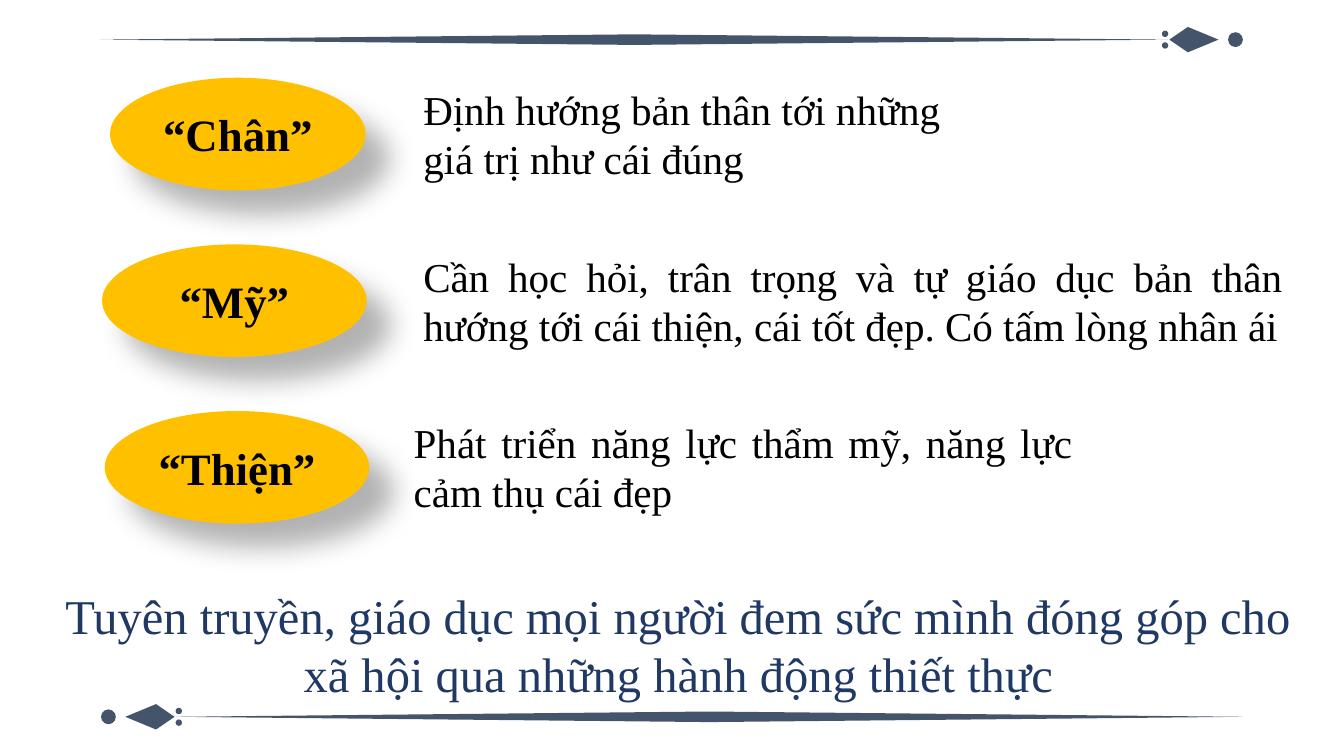
"""Build a slide of three values with explanations and a closing message."""
from lxml import etree
from pptx import Presentation
from pptx.dml.color import RGBColor
from pptx.enum.shapes import MSO_SHAPE
from pptx.enum.text import MSO_ANCHOR, PP_ALIGN
from pptx.oxml.ns import qn
from pptx.util import Cm, Pt

OVAL, DIAMOND = MSO_SHAPE.OVAL, MSO_SHAPE.DIAMOND
LEFT, CENTER, JUSTIFY = PP_ALIGN.LEFT, PP_ALIGN.CENTER, PP_ALIGN.JUSTIFY
TOP, MIDDLE = MSO_ANCHOR.TOP, MSO_ANCHOR.MIDDLE
FONT = "Times New Roman"
COLORS = {"ornament": "44546A", "oval": "FFC000", "text": "000000", "message": "203864"}
WIDTH, HEIGHT = 25.4, 14.29

VALUES = [
    {"name": "“Chân”", "oval": (2.08, 4.83), "box": (7.75, 11.4), "align": LEFT,
     "text": "Định hướng bản thân tới những giá trị như cái đúng"},
    {"name": "“Mỹ”", "oval": (1.93, 5), "box": (7.75, 16.74), "align": JUSTIFY,
     "text": "Cần học hỏi, trân trọng và tự giáo dục bản thân hướng tới cái thiện, "
             "cái tốt đẹp. Có tấm lòng nhân ái"},
    {"name": "“Thiện”", "oval": (1.98, 5), "box": (7.57, 12.95), "align": JUSTIFY,
     "text": "Phát triển năng lực thẩm mỹ, năng lực cảm thụ cái đẹp"},
]
MESSAGE = ("Tuyên truyền, giáo dục mọi người đem sức mình đóng góp cho "
           "xã hội qua những hành động thiết thực")
ROW_TOP, ROW_PITCH, ROW_HEIGHT = 1.47, 3.15, 2.13

ORNAMENT_YS = {0.75: False, 13.55: True}
ORNAMENT_PARTS = [
    (DIAMOND, 11.99, 0, 20.17, 0.2),
    (OVAL, 23.35, 0, 0.28, 0.28),
    (OVAL, 22.02, -0.11, 0.12, 0.12),
    (OVAL, 22.02, 0.11, 0.12, 0.12),
]
KITE = [(22.45, -0.24), (23.03, 0), (22.45, 0.24), (22.1, 0)]


def color(key):
    return RGBColor.from_string(COLORS[key])


def paint(s, key):
    s.shadow.inherit = False
    s.fill.solid()
    s.fill.fore_color.rgb = color(key)
    s.line.fill.background()


def add_shape(slide, kind, x, y, w, h, key):
    s = slide.shapes.add_shape(kind, Cm(x), Cm(y), Cm(w), Cm(h))
    paint(s, key)
    return s


def add_ornament(slide, y, mirrored):
    def place(x):
        return WIDTH - x if mirrored else x

    for kind, x, dy, w, h in ORNAMENT_PARTS:
        add_shape(slide, kind, place(x) - w / 2, y + dy - h / 2, w, h, "ornament")
    points = [(Cm(place(x)), Cm(y + dy)) for x, dy in KITE]
    builder = slide.shapes.build_freeform(*points[0])
    builder.add_line_segments(points[1:], close=True)
    paint(builder.convert_to_shape(), "ornament")


def add_shadow(s):
    effects = s._element.spPr.find(qn("a:effectLst"))
    shadow = etree.SubElement(effects, qn("a:outerShdw"), blurRad=str(Pt(15)),
                              dist=str(Pt(18)), dir="2700000", algn="tl", rotWithShape="0")
    clr = etree.SubElement(shadow, qn("a:srgbClr"), val=COLORS["text"])
    etree.SubElement(clr, qn("a:alpha"), val="30000")


def write(s, text, size, align, anchor=TOP, key="text", bold=False):
    tf = s.text_frame
    tf.word_wrap = True
    tf.vertical_anchor = anchor
    p = tf.paragraphs[0]
    p.alignment = align
    r = p.add_run()
    r.text = text
    r.font.name = FONT
    r.font.size = Pt(size)
    r.font.bold = bold
    r.font.color.rgb = color(key)


def add_text(slide, x, y, w, h, *args, **kwargs):
    s = slide.shapes.add_textbox(Cm(x), Cm(y), Cm(w), Cm(h))
    write(s, *args, **kwargs)


def main():
    prs = Presentation()
    prs.slide_width, prs.slide_height = Cm(WIDTH), Cm(HEIGHT)
    slide = prs.slides.add_slide(prs.slide_layouts[6])
    for y, mirrored in ORNAMENT_YS.items():
        add_ornament(slide, y, mirrored)
    for i, value in enumerate(VALUES):
        y = ROW_TOP + i * ROW_PITCH
        x, w = value["oval"]
        s = add_shape(slide, OVAL, x, y, w, ROW_HEIGHT, "oval")
        add_shadow(s)
        write(s, value["name"], 24, CENTER, MIDDLE, bold=True)
        x, w = value["box"]
        add_text(slide, x, y, w, ROW_HEIGHT, value["text"], 22, value["align"])
    add_text(slide, 0.64, 10.95, 24.38, 2.49, MESSAGE, 26, CENTER, key="message")
    prs.save("out.pptx")


if __name__ == "__main__":
    main()
